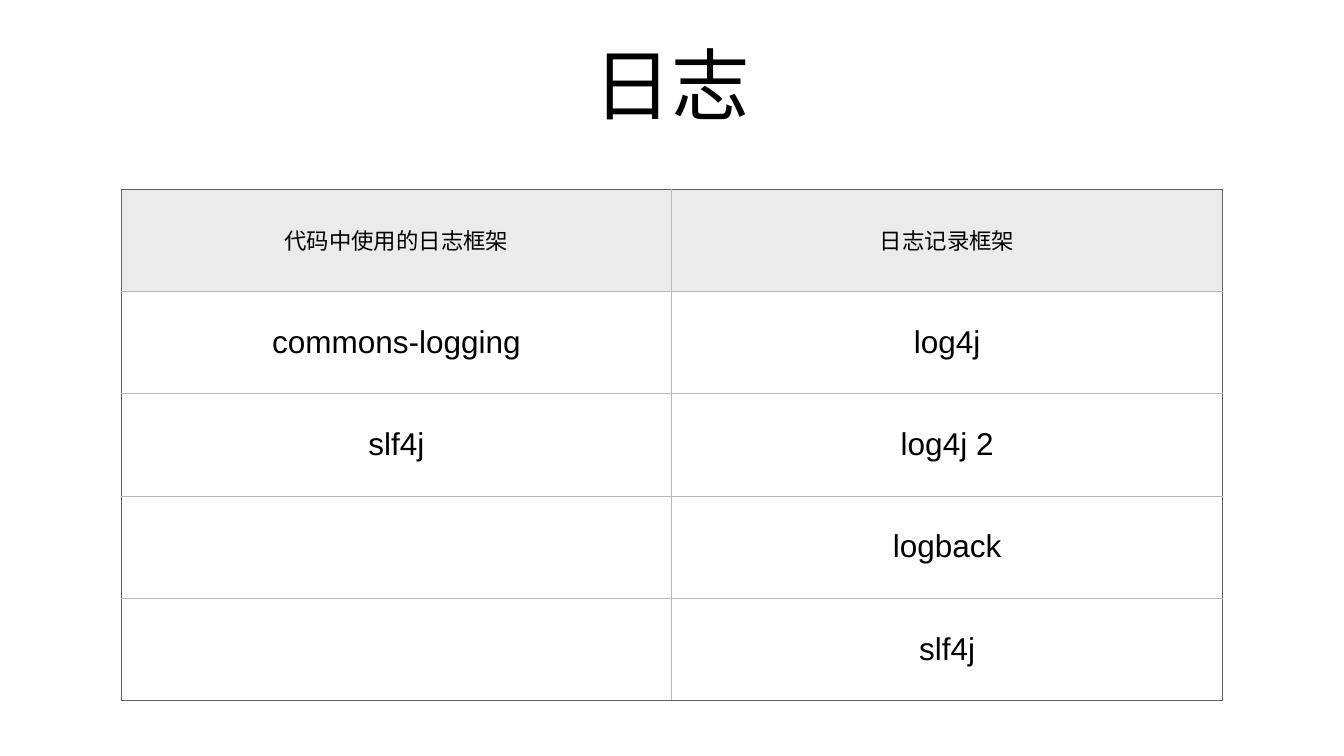
from lxml import etree
from pptx import Presentation
from pptx.dml.color import RGBColor
from pptx.enum import text
from pptx.oxml import ns
from pptx.util import Inches, Pt

COLORS = {"text": "000000", "header": "EBEBEB", "body": "FFFFFF",
          "outer": "606060", "inner": "B8B8B8"}
FONT = "Arial"
MARGINS = {side: Inches(0.06) for side in
           ("margin_left", "margin_right", "margin_top", "margin_bottom")}
FRAMEWORKS = [
    ("代码中使用的日志框架", "日志记录框架"),
    ("commons-logging", "log4j"),
    ("slf4j", "log4j 2"),
    ("", "logback"),
    ("", "slf4j"),
]


def color(name):
    return RGBColor.from_string(COLORS[name])


def apply(target, values):
    for name, value in values.items():
        setattr(target, name, value)


def write(frame, words, size):
    frame.text = words
    paragraph = frame.paragraphs[0]
    paragraph.alignment = text.PP_ALIGN.CENTER
    apply(paragraph.font, {"name": FONT, "size": Pt(size), "bold": False})
    paragraph.font.color.rgb = color("text")


def set_border(cell, side, color_name):
    """Add one cell border; call in the order L, R, T, B, before the fill."""
    properties = cell._tc.get_or_add_tcPr()
    line = etree.SubElement(properties, ns.qn(f"a:ln{side}"), w=str(Pt(1)))
    fill = etree.SubElement(line, ns.qn("a:solidFill"))
    etree.SubElement(fill, ns.qn("a:srgbClr"), val=COLORS[color_name])


def add_title(slide, box, words):
    title = slide.shapes.title
    apply(title, dict(zip(("left", "top", "width", "height"), map(Inches, box))))
    apply(title.text_frame, MARGINS | {"vertical_anchor": text.MSO_ANCHOR.MIDDLE,
                                       "word_wrap": True})
    write(title.text_frame, words, 112)


def add_framework_table(slide, box, rows):
    last_row, last_column = len(rows) - 1, len(rows[0]) - 1
    table = slide.shapes.add_table(len(rows), len(rows[0]), *map(Inches, box)).table
    for r, row in enumerate(rows):
        for c, words in enumerate(row):
            cell = table.cell(r, c)
            apply(cell, MARGINS | {"vertical_anchor": text.MSO_ANCHOR.MIDDLE})
            write(cell.text_frame, words, 32 if r == 0 else 45)
            on_edge = {"L": c == 0, "R": c == last_column,
                       "T": r == 0, "B": r == last_row}
            for side, outer in on_edge.items():
                set_border(cell, side, "outer" if outer else "inner")
            cell.fill.solid()
            cell.fill.fore_color.rgb = color("header" if r == 0 else "body")


def main():
    deck = Presentation()
    apply(deck, {"slide_width": Inches(26.67), "slide_height": Inches(15)})
    slide = deck.slides.add_slide(deck.slide_layouts[5])
    add_title(slide, (1.85, 0.39, 22.97, 2.5), "日志")
    add_framework_table(slide, (2.4, 3.75, 21.86, 10.15), FRAMEWORKS)
    deck.save("out.pptx")


if __name__ == "__main__":
    main()
